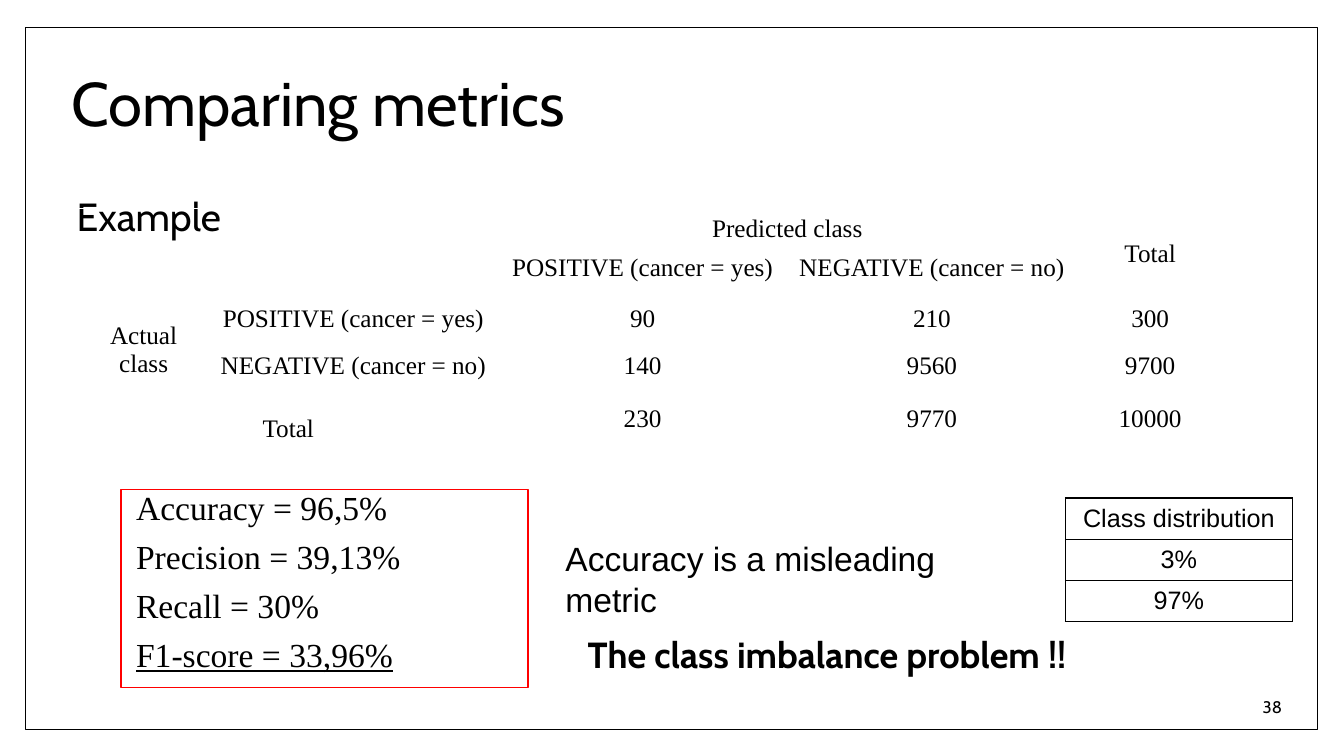
from lxml import etree
from pptx import Presentation
from pptx import util as u
from pptx.dml.color import RGBColor
from pptx.enum import shapes, text
from pptx.oxml import ns

BLACK = RGBColor(0, 0, 0)
WHITE = RGBColor(255, 255, 255)
RED = RGBColor(255, 0, 0)
HEADING_FONT, TABLE_FONT, PLAIN_FONT = "Cabin", "Times New Roman", "Arial"
LEFT, CENTER, RIGHT = text.PP_ALIGN.LEFT, text.PP_ALIGN.CENTER, text.PP_ALIGN.RIGHT
TOP, MIDDLE = text.MSO_ANCHOR.TOP, text.MSO_ANCHOR.MIDDLE


class SlideBuilder:
    """Holds the text style and the current slide."""

    def __init__(self, deck):
        self.page = deck.slides.add_slide(deck.slide_layouts[1])
        self.style = {"name": HEADING_FONT, "size": 18, "bold": False, "underline": False}

    def add_lines(self, frame, lines, anchor=TOP, align=LEFT, spacing=1.0, gap=0, indent=0,
                  **style):
        frame.word_wrap = True
        frame.vertical_anchor = anchor
        for index, line in enumerate(lines):
            para = frame.paragraphs[0] if index == 0 else frame.add_paragraph()
            layout = {"alignment": align, "line_spacing": spacing,
                      "space_before": u.Pt(gap if index else 0), "space_after": u.Pt(0)}
            for name, value in layout.items():
                setattr(para, name, value)
            properties = para._p.get_or_add_pPr()
            properties.set("marL", str(u.Cm(indent)))
            properties.set("indent", "0")
            etree.SubElement(properties, ns.qn("a:buNone"))
            span = para.add_run()
            span.text = line
            self.style_font(span.font, **style)

    def style_font(self, font, **style):
        values = {**self.style, **style}
        values["size"] = u.Pt(values["size"])
        for name, value in values.items():
            setattr(font, name, value)
        font.color.rgb = BLACK

    def placeholder(self, index, place, line, **style):
        box = self.page.placeholders[index]
        for name, value in zip(("left", "top", "width", "height"), place):
            setattr(box, name, u.Cm(value))
        box.text_frame.auto_size = text.MSO_AUTO_SIZE.NONE
        self.add_lines(box.text_frame, [line], **style)

    def textbox(self, place, line, **style):
        box = self.page.shapes.add_textbox(*map(u.Cm, place))
        self.add_lines(box.text_frame, [line], **style)

    def rectangle(self, place, color, fill=None, lines=(), **style):
        box = self.page.shapes.add_shape(shapes.MSO_SHAPE.RECTANGLE, *map(u.Cm, place))
        box.shadow.inherit = False
        if fill is None:
            box.fill.background()
        else:
            box.fill.solid()
            box.fill.fore_color.rgb = fill
        box.line.color.rgb = color
        box.line.width = u.Pt(1)
        self.add_lines(box.text_frame, lines, **style)
        return box

    def table(self, corner, widths, heights, rows, spans=(), middle=(), border=False, **style):
        size = sum(widths), sum(heights)
        frame = self.page.shapes.add_table(len(rows), len(widths), *map(u.Cm, (*corner, *size)))
        table = frame.table
        table.first_row = table.horz_banding = False
        for column, width in zip(table.columns, widths):
            column.width = u.Cm(width)
        for row, height in zip(table.rows, heights):
            row.height = u.Cm(height)
        for start, end in spans:
            table.cell(*start).merge(table.cell(*end))
        for r, values in enumerate(rows):
            for c, value in enumerate(values):
                cell = table.cell(r, c)
                if border:
                    self.outline(cell)
                cell.fill.background()
                if value:
                    self.add_lines(cell.text_frame, [value], align=CENTER, **style)
                    cell.vertical_anchor = MIDDLE if border or (r, c) in middle else TOP
                else:
                    self.style_font(cell.text_frame.paragraphs[0].font, **style)

    def outline(self, cell):
        properties = cell._tc.get_or_add_tcPr()
        for side in ("lnL", "lnR", "lnT", "lnB"):
            line = etree.SubElement(properties, ns.qn(f"a:{side}"), w=str(u.Pt(1)))
            fill = etree.SubElement(line, ns.qn("a:solidFill"))
            etree.SubElement(fill, ns.qn("a:srgbClr"), val=str(BLACK))


def main():
    deck = Presentation()
    deck.slide_width, deck.slide_height = u.Cm(33.87), u.Cm(19.05)
    slide = SlideBuilder(deck)

    # Frame behind everything, then title and body
    border = slide.rectangle((0.64, 0.69, 32.56, 17.7), BLACK, WHITE)
    slide.page.shapes._spTree.insert(2, border._element)
    slide.placeholder(0, (1.55, 0.81, 31.01, 3.76), "Comparing metrics",
                      anchor=MIDDLE, spacing=0.9, size=44)
    slide.placeholder(1, (1.55, 4.85, 31.01, 12.04), "Example",
                      spacing=0.9, indent=0.13, size=28)
    slide.textbox((27.81, 17.3, 4.75, 1.02), "38", anchor=MIDDLE, align=RIGHT, size=12)

    # Confusion matrix
    positive, negative = "POSITIVE (cancer = yes)", "NEGATIVE (cancer = no)"
    matrix = [
        ["", "", "Predicted class", "", "Total"],
        ["", "", positive, negative, ""],
        ["Actual class", positive, "90", "210", "300"],
        ["", negative, "140", "9560", "9700"],
        ["Total", "", "230", "9770", "10000"],
    ]
    spans = [((0, 0), (1, 1)), ((0, 2), (0, 3)), ((0, 4), (1, 4)),
             ((2, 0), (3, 0)), ((4, 0), (4, 1))]
    slide.table((1.98, 5.26), [3.28, 7.29, 7.29, 7.29, 3.71], [0.86, 1.27, 1.19, 1.35, 1.42],
                matrix, spans, middle=[start for start, end in spans], name=TABLE_FONT)

    # Metrics and conclusions
    metrics = ["Accuracy = 96,5%", "Precision = 39,13%", "Recall = 30%", "F1-score = 33,96%"]
    box = slide.rectangle((3.05, 12.34, 10.26, 4.98), RED, lines=metrics, spacing=0.8,
                          gap=12, indent=0.13, name=TABLE_FONT, size=24)
    box.text_frame.paragraphs[-1].runs[0].font.underline = True
    slide.textbox((14.43, 15.93, 12.78, 1.73), "The class imbalance problem !!",
                  spacing=0.9, indent=0.13, size=25.9, bold=True)
    slide.textbox((14, 13.44, 11.3, 1.27), "Accuracy is a misleading metric",
                  name=PLAIN_FONT, size=24)

    # Class distribution
    slide.table((26.85, 12.55), [5.72], [1.04] * 3, [["Class distribution"], ["3%"], ["97%"]],
                border=True, name=PLAIN_FONT)

    deck.save("out.pptx")


if __name__ == "__main__":
    main()
